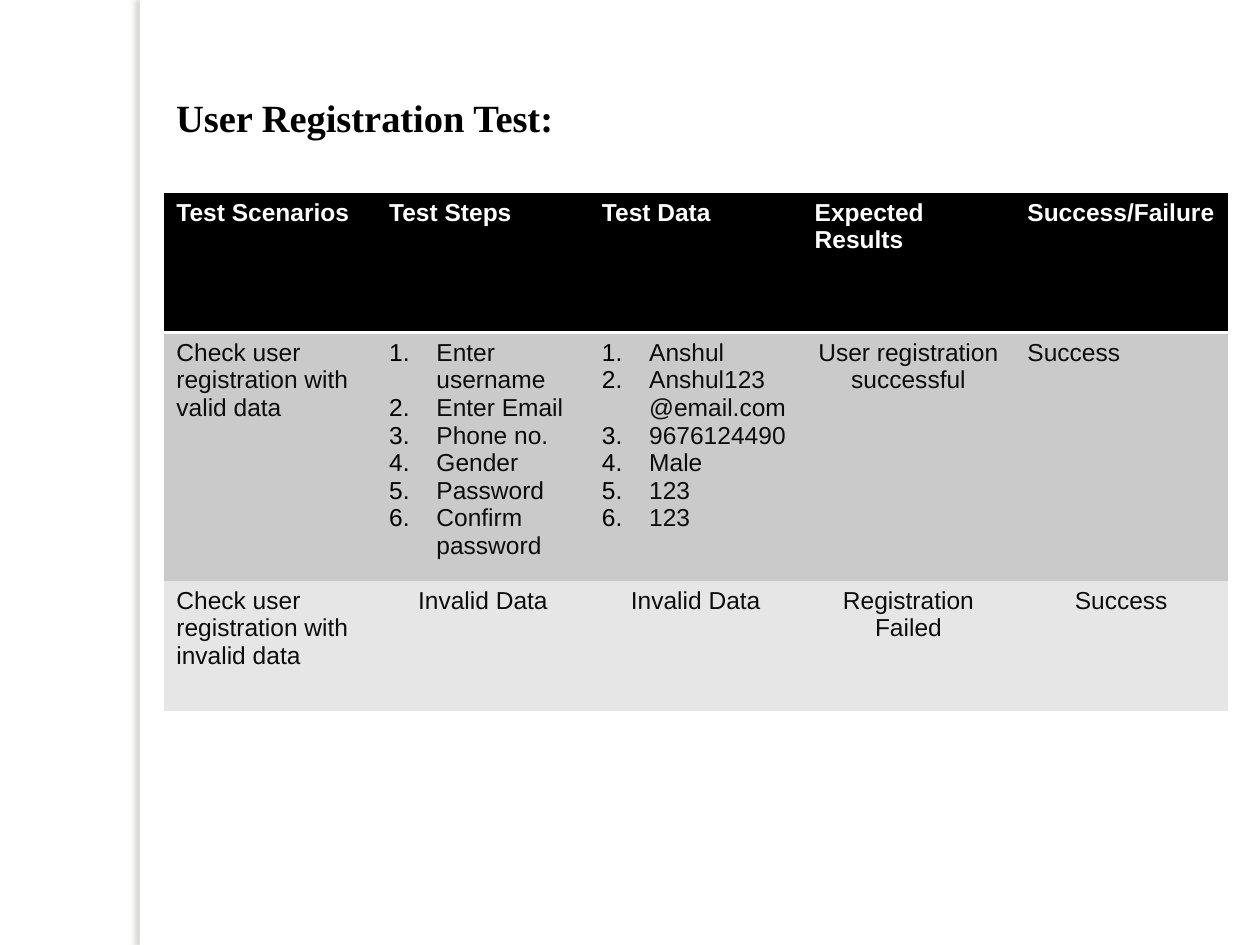
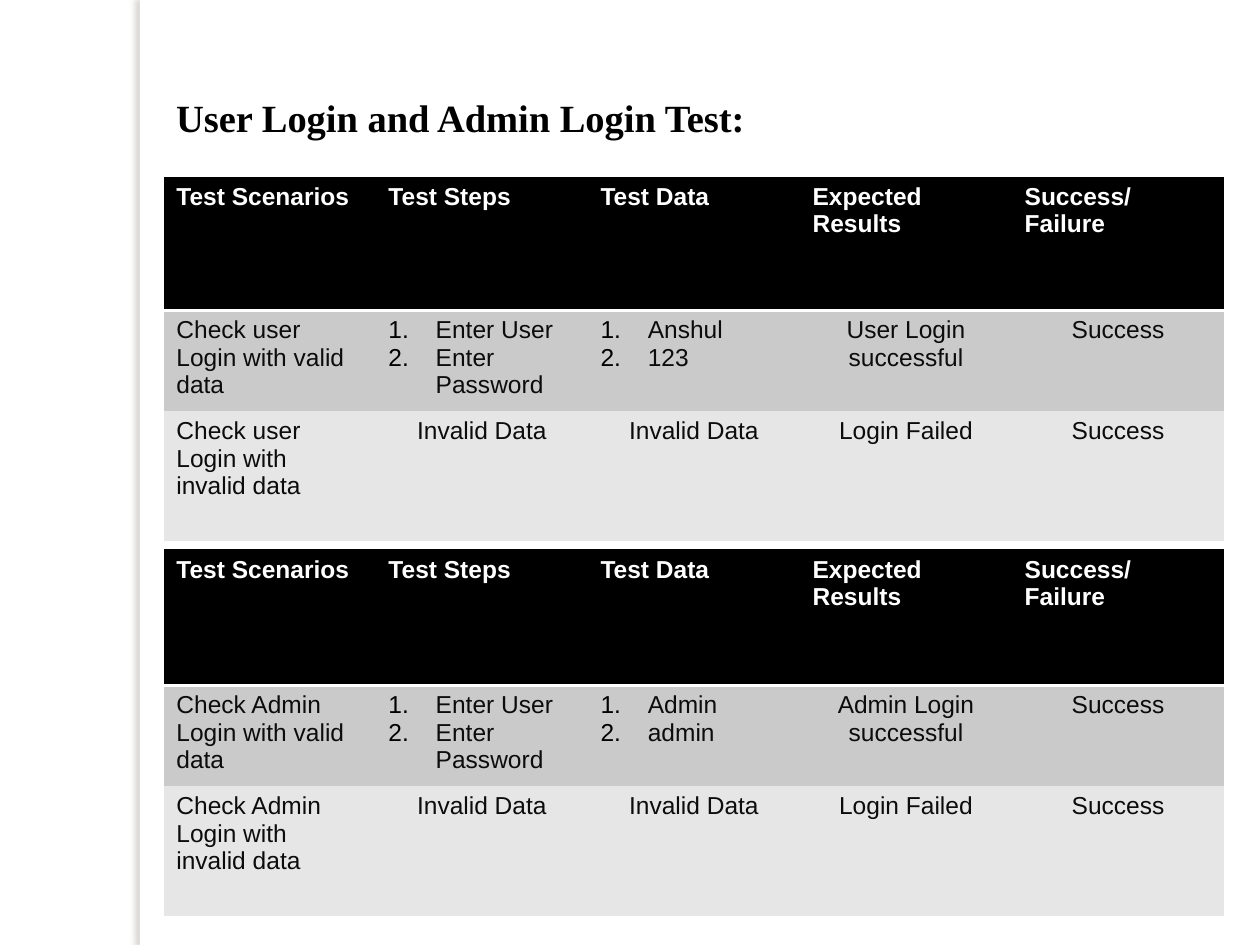
from dataclasses import dataclass

from pptx import Presentation
from pptx.dml.color import RGBColor
from pptx.enum.shapes import MSO_SHAPE
from pptx.enum.text import MSO_AUTO_SIZE, PP_ALIGN
from pptx.oxml import parse_xml
from pptx.oxml.ns import nsdecls
from pptx.util import Pt

RECT = MSO_SHAPE.RECTANGLE
GROW = MSO_AUTO_SIZE.SHAPE_TO_FIT_TEXT
LEFT, CENTER = PP_ALIGN.LEFT, PP_ALIGN.CENTER
PLAIN = "{2D5ABB26-0587-4C30-8999-92F81FD0307C}"


@dataclass(frozen=True)
class Theme:
    """Colours, fonts and sizes that the slides share."""
    white: str = "FFFFFF"
    black: str = "000000"
    ink: str = "0C0C0C"
    dark: str = "CACACA"
    light: str = "E6E6E6"
    shade: str = "6F6A5F"
    serif: str = "Times New Roman"
    sans: str = "Arial"
    title: float = 22
    body: float = 14
    edge: float = 93.6
    indent: float = 27


THEME = Theme()
HEADS = ["Test Scenarios", "Test Steps", "Test Data", "Expected Results",
         "Success/Failure"]
LOGIN = ["Enter User", "Enter Password"]


def rgb(code):
    """Turn a hex code into a colour."""
    return RGBColor.from_string(code)


def make(tag, attrs, inner=""):
    """Build one drawing element."""
    return parse_xml(f'<a:{tag} {nsdecls("a")} {attrs}>{inner}</a:{tag}>')


def tint(code, inner=""):
    """Give the markup of a colour."""
    return f'<a:srgbClr val="{code}">{inner}</a:srgbClr>'


def style(para, name, size, color, bold):
    """Set the font of a paragraph."""
    font = para.font
    font.name, font.size, font.bold = name, Pt(size), bold
    font.color.rgb = rgb(color)


def add_band(slide):
    """Draw the white strip that casts a shadow to the left."""
    band = slide.shapes.add_shape(RECT, Pt(80), 0, Pt(5.6), Pt(540))
    band.fill.solid()
    band.fill.fore_color.rgb = rgb(THEME.white)
    band.line.fill.background()
    band.shadow.inherit = False
    alpha = tint(THEME.shade, '<a:alpha val="25000"/>')
    cast = make("outerShdw", f'blurRad="{Pt(3)}" dist="{Pt(3)}" dir="10800000"'
                ' algn="tl" rotWithShape="0"', alpha)
    band._element.spPr.find("{*}effectLst").append(cast)


def add_title(slide, text, width):
    """Write the slide title."""
    box = slide.shapes.add_textbox(Pt(THEME.edge), Pt(50.4), Pt(width), Pt(34))
    frame = box.text_frame
    frame.word_wrap, frame.auto_size = True, GROW
    frame.text = text
    style(frame.paragraphs[0], THEME.serif, THEME.title, THEME.black, True)


def number(para):
    """Number a paragraph with a hanging indent."""
    props = para._p.get_or_add_pPr()
    props.set("marL", str(Pt(THEME.indent)))
    props.set("indent", str(-Pt(THEME.indent)))
    props.append(make("buClr", "", tint(THEME.black)))
    props.append(make("buFont", 'typeface="+mj-lt"'))
    props.append(make("buAutoNum", 'type="arabicPeriod"'))


def fill_cell(cell, value, color, fill, bold, align):
    """Fill a cell with a text or a numbered list."""
    cell.fill.solid()
    cell.fill.fore_color.rgb = rgb(fill)
    steps = isinstance(value, list)
    cell.text = "\n".join(value) if steps else value
    for para in cell.text_frame.paragraphs:
        if steps:
            number(para)
        else:
            para.alignment = align
        style(para, THEME.sans, THEME.body, color, bold)


def rule(cell):
    """Draw a white line below a cell."""
    line = make("lnB", f'w="{Pt(2)}"',
                f"<a:solidFill>{tint(THEME.white)}</a:solidFill>")
    cell._tc.get_or_add_tcPr().insert(0, line)


def add_tests(slide, top, width, heights, rows, lefts=()):
    """Add a test table; lefts holds extra left-aligned cells."""
    count = len(HEADS)
    frame = slide.shapes.add_table(len(heights), count, Pt(THEME.edge), Pt(top),
                                   Pt(width * count), Pt(sum(heights)))
    table = frame.table
    table.horz_banding = table.first_row = False
    table._tbl.tblPr.find("{*}tableStyleId").text = PLAIN
    for col in table.columns:
        col.width = Pt(width)
    fills = [THEME.black, THEME.dark, THEME.light]
    for r, (height, values) in enumerate(zip(heights, [HEADS] + rows)):
        table.rows[r].height = Pt(height)
        head = r == 0
        color = THEME.white if head else THEME.ink
        for c, value in enumerate(values):
            cell = table.cell(r, c)
            flush = head or c == 0 or (r, c) in lefts
            fill_cell(cell, value, color, fills[r], head,
                      LEFT if flush else CENTER)
            if head:
                rule(cell)


def cases(action, good, bad, steps, data):
    """Give the rows for valid and for invalid data."""
    return [[f"Check {action} with valid data", steps, data, good, "Success"],
            [f"Check {action} with invalid data", "Invalid Data",
             "Invalid Data", bad, "Success"]]


def add_slide(deck, title, width):
    """Start a slide with its strip and title."""
    slide = deck.slides.add_slide(deck.slide_layouts[6])
    add_band(slide)
    add_title(slide, title, width)
    return slide


def main():
    """Build and save the deck."""
    deck = Presentation()
    deck.slide_width, deck.slide_height = Pt(720), Pt(540)

    slide = add_slide(deck, "User Registration Test:", 263)
    steps = ["Enter username", "Enter Email", "Phone no.", "Gender",
             "Password", "Confirm password"]
    data = ["Anshul", "Anshul123@email.com", "9676124490", "Male", "123", "123"]
    rows = cases("user registration", "User registration successful",
                 "Registration Failed", steps, data)
    add_tests(slide, 110.2, 121.6, [80, 141.6, 74.2], rows, {(1, 4)})

    slide = add_slide(deck, "User Login and Admin Login Test:", 381)
    logins = [("user", "User", ["Anshul", "123"], 101, 76.3),
              ("Admin", "Admin", ["Admin", "admin"], 314, 77.6)]
    for role, name, data, top, head in logins:
        rows = cases(f"{role} Login", f"{name} Login successful",
                     "Login Failed", LOGIN, data)
        add_tests(slide, top, 121.2, [head, 57.6, 74.4], rows)

    deck.save("out.pptx")


if __name__ == "__main__":
    main()
